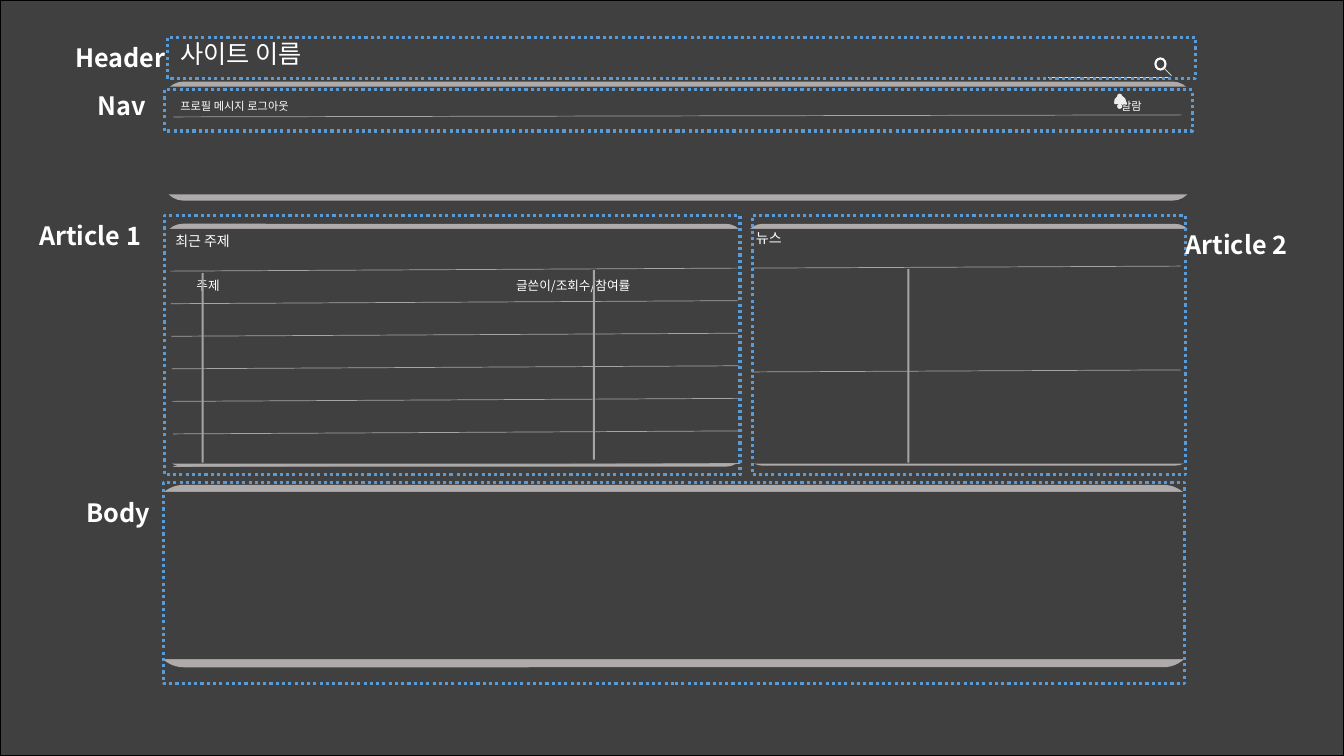
from pptx import Presentation
from pptx.dml.color import RGBColor
from pptx.enum.dml import MSO_LINE
from pptx.enum.shapes import MSO_CONNECTOR, MSO_SHAPE
from pptx.oxml.ns import qn
from pptx.util import Inches, Pt
from lxml.etree import SubElement

DARK = RGBColor(0x40, 0x40, 0x40)
BAND = RGBColor(0xAF, 0xAB, 0xAB)
RULE = RGBColor(0xA5, 0xA5, 0xA5)
PALE = RGBColor(0xE7, 0xE6, 0xE6)
BELL = RGBColor(0xED, 0xED, 0xED)
FRAME = RGBColor(0x5B, 0x9B, 0xD5)
WHITE = RGBColor(0xFF, 0xFF, 0xFF)
BLACK = RGBColor(0, 0, 0)
FONT = "Noto Sans CJK KR"
WIDTH, HEIGHT = 13.33, 7.5

PANELS = [
    (BAND, 1.62, 0.81, 10.21, 1.18),
    (DARK, 1.07, 0.86, 11.35, 1.07),
    (BAND, 1.62, 2.22, 5.77, 1.15),
    (DARK, 1.07, 2.93, 11.35, 1.07),
    (BAND, 1.62, 3.48, 5.77, 1.15),
    (BAND, 7.38, 3.5, 4.46, 1.12),
    (BAND, 7.38, 2.22, 4.46, 1.12),
    (DARK, 1.07, 2.27, 11.35, 2.33),
    (BAND, 1.52, 4.81, 10.32, 1.81),
    (DARK, 1.07, 4.88, 11.35, 1.66),
]
TOPIC_ROWS, TOPIC_TOP, ROW_PITCH = 7, 2.69, 0.323
RULES = [
    (7.45, 2.66, 11.71, 2.64),
    (7.46, 3.69, 11.71, 3.67),
    (1.72, 1.16, 11.72, 1.14),
]
SEARCH_LINES = [(11.54, 0.67, 11.62, 0.75), (10.39, 0.77, 11.58, 0.77)]
COLUMN_BARS = [(5.88, 2.68, 1.88), (9, 2.67, 1.92), (2, 2.71, 1.88)]
CONTENT = [
    ("사이트 이름", 18, 1.69, 0.33, 1.86, 0.4),
    ("프로필 메시지 로그아웃", 8, 1.69, 0.94, 4, 0.24),
    ("알람", 8, 11.02, 0.94, 0.61, 0.24),
    ("뉴스", 10, 7.4, 2.23, 4, 0.27),
    ("최근 주제", 10, 1.64, 2.26, 4, 0.27),
    ("주제", 9, 1.85, 2.71, 1, 0.25),
    ("글쓴이/조회수/참여률", 9, 5.02, 2.71, 2.29, 0.25),
]
SECTIONS = [
    ("Header", (0.65, 0.37, 1.43, 0.4), (1.66, 0.37, 10.2, 0.41)),
    ("Nav", (0.87, 0.85, 1.2, 0.4), (1.63, 0.89, 10.2, 0.41)),
    ("Article 1", (0.29, 2.14, 1.33, 0.71), (1.63, 2.14, 5.71, 2.57)),
    ("Article 2", (11.66, 2.23, 1.33, 0.71), (7.46, 2.14, 4.3, 2.57)),
    ("Body", (0.76, 4.88, 1.07, 0.4), (1.62, 4.79, 10.13, 1.99)),
]

deck = Presentation()
deck.slide_width, deck.slide_height = Inches(WIDTH), Inches(HEIGHT)
slide = deck.slides.add_slide(deck.slide_layouts[6])


def add_block(kind, place, fill=None, line=None, weight=1):
    block = slide.shapes.add_shape(kind, *map(Inches, place))
    block.shadow.inherit = False
    if fill is None:
        block.fill.background()
    else:
        block.fill.solid()
        block.fill.fore_color.rgb = fill
    if line is None:
        block.line.fill.background()
    else:
        block.line.color.rgb = line
        block.line.width = Pt(weight)
    return block


def add_rule(ends, color):
    rule = slide.shapes.add_connector(MSO_CONNECTOR.STRAIGHT, *map(Inches, ends))
    rule.line.color.rgb = color
    rule.line.width = Pt(0.5)
    SubElement(rule._element.spPr, qn("a:effectLst"))


def add_text(words, size, place, bold=False):
    box = slide.shapes.add_textbox(*map(Inches, place))
    box.text_frame.word_wrap = True
    run = box.text_frame.paragraphs[0].add_run()
    run.text = words
    run.font.size, run.font.bold = Pt(size), bold
    run.font.name = FONT
    run.font.color.rgb = WHITE
    SubElement(run._r.get_or_add_rPr(), qn("a:ea")).set("typeface", FONT)


add_block(MSO_SHAPE.RECTANGLE, (0, 0, WIDTH, HEIGHT), DARK, BLACK)
for fill, *place in PANELS:
    add_block(MSO_SHAPE.ROUNDED_RECTANGLE, place, fill)

for row in range(TOPIC_ROWS):
    left, top = 1.69 + 0.005 * row, TOPIC_TOP + ROW_PITCH * row
    add_rule((left, top, left + 5.62, top - 0.03), RULE)
for ends in RULES:
    add_rule(ends, RULE)

add_block(MSO_SHAPE.OVAL, (11.46, 0.58, 0.1, 0.11), DARK, WHITE, 1.5)
for ends in SEARCH_LINES:
    add_rule(ends, PALE)

for words, size, *place in CONTENT:
    add_text(words, size, place)

bell = add_block(MSO_SHAPE.CHORD, (11.05, 0.95, 0.12, 0.12), BELL)
bell.rotation = 113
for top in (0.93, 1.03):
    add_block(MSO_SHAPE.OVAL, (11.08, top, 0.05, 0.05), BELL)

for left, top, height in COLUMN_BARS:
    add_block(MSO_SHAPE.RECTANGLE, (left, top, 0.02, height), RULE)

for name, label_place, frame_place in SECTIONS:
    frame = add_block(MSO_SHAPE.RECTANGLE, frame_place, line=FRAME, weight=2.25)
    frame.line.dash_style = MSO_LINE.ROUND_DOT
    add_text(name, 18, label_place, bold=True)

deck.save("out.pptx")
